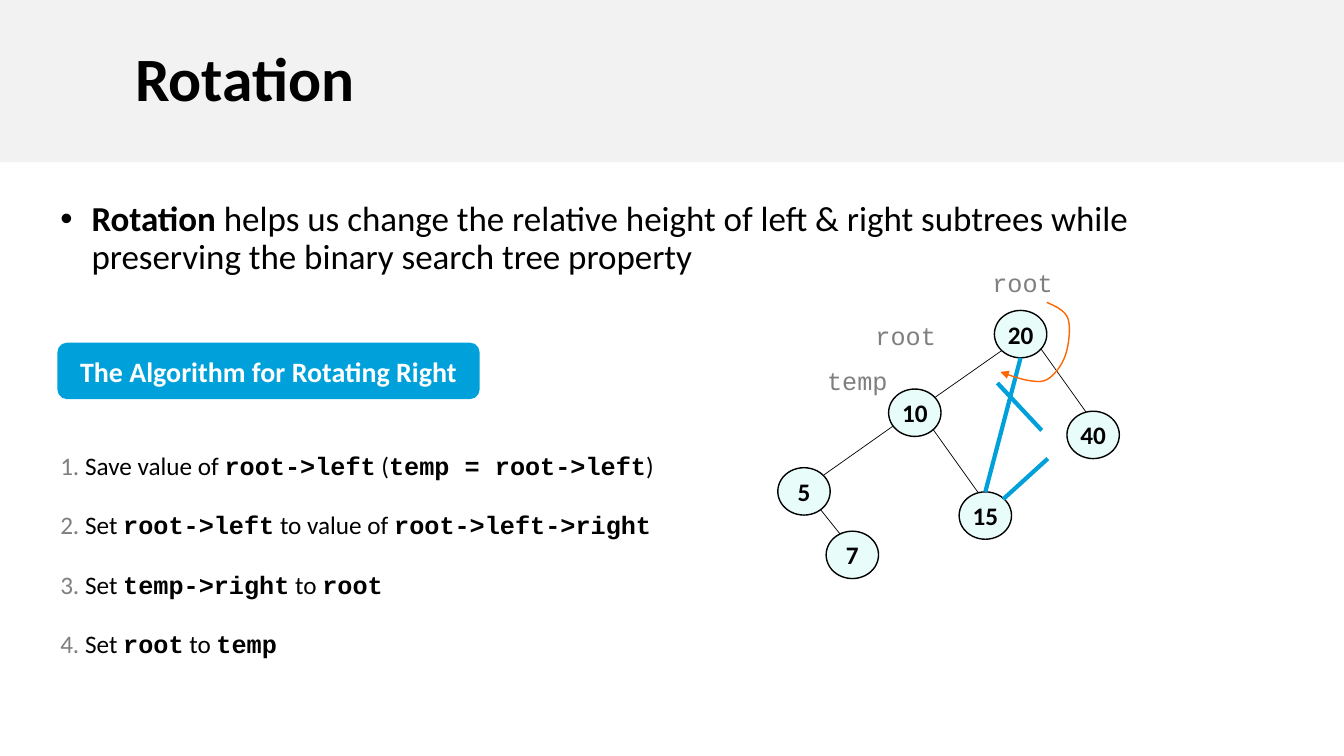
from pptx import Presentation, util as u
from pptx.dml.color import RGBColor
from pptx.enum import shapes, text
from pptx.oxml.ns import qn
from lxml import etree

PX = 9144  # EMU per px, 100 px to the inch

BLACK = RGBColor(0x00, 0x00, 0x00)
WHITE = RGBColor(0xFF, 0xFF, 0xFF)
GREY = RGBColor(0x7F, 0x7F, 0x7F)
BAND = RGBColor(0xF2, 0xF2, 0xF2)
BLUE = RGBColor(0x00, 0xA1, 0xDA)
NODE = RGBColor(0xE8, 0xFC, 0xFA)
ORANGE = RGBColor(0xFF, 0x66, 0x00)
BODY, CODE = "Calibri", "Courier New"
LEFT, CENTER = text.PP_ALIGN.LEFT, text.PP_ALIGN.CENTER
TOP, MIDDLE = text.MSO_ANCHOR.TOP, text.MSO_ANCHOR.MIDDLE


def px(*lengths):
    return [u.Emu(round(length * PX)) for length in lengths]


def write_text(shape, paragraphs, size=18, font=BODY, color=BLACK, bold=False, align=LEFT,
               anchor=TOP, margins=(10, 5, 10, 5), wrap=True, line=1.0, before=0, after=0):
    """Each paragraph is a list of (text, format that differs) runs."""
    frame = shape.text_frame
    frame.word_wrap, frame.vertical_anchor = wrap, anchor
    frame.auto_size = text.MSO_AUTO_SIZE.NONE
    (frame.margin_left, frame.margin_top,
     frame.margin_right, frame.margin_bottom) = px(*margins)
    for index, runs in enumerate(paragraphs):
        paragraph = frame.add_paragraph() if index else frame.paragraphs[0]
        paragraph.alignment, paragraph.line_spacing = align, line
        paragraph.space_before, paragraph.space_after = u.Pt(before), u.Pt(after)
        for words, changes in runs:
            look = {"font": font, "color": color, "bold": bold, **changes}
            run = paragraph.add_run()
            run.text = words
            run.font.size, run.font.name = u.Pt(size), look["font"]
            run.font.bold, run.font.color.rgb = look["bold"], look["color"]
    return frame


def add_box(slide, box, paragraphs, **look):
    return write_text(slide.shapes.add_textbox(*px(*box)), paragraphs, **look)


def add_filled(slide, kind, box, fill, outline=None):
    shape = slide.shapes.add_shape(kind, *px(*box))
    shape.shadow.inherit = False
    shape.fill.solid()
    shape.fill.fore_color.rgb = fill
    if outline is None:
        shape.line.fill.background()
    else:
        shape.line.color.rgb, shape.line.width = outline, u.Pt(1)
    return shape


def add_line(slide, ends, color, width):
    line = slide.shapes.add_connector(shapes.MSO_CONNECTOR.STRAIGHT, *px(*ends))
    line.line.color.rgb, line.line.width = color, u.Pt(width)
    etree.SubElement(line._element.spPr, qn("a:effectLst"))


def add_title(slide, box):
    title = slide.shapes.title
    title.left, title.top, title.width, title.height = px(*box)
    title.fill.solid()
    title.fill.fore_color.rgb = BAND
    write_text(title, [[("Rotation", {})]], size=44, bold=True, anchor=MIDDLE,
               margins=(134, 5, 10, 5), line=0.9)


def add_statement(slide, box):
    frame = add_box(slide, box, [[
        ("Rotation", {"bold": True}),
        (" helps us change the relative height of left & right subtrees while "
         "preserving the binary search tree property", {})]], size=25, line=0.9, before=5)
    properties = frame.paragraphs[0]._p.get_or_add_pPr()
    properties.set("marL", str(81 * PX))
    properties.set("indent", str(-31 * PX))
    etree.SubElement(properties, qn("a:buFont")).set("typeface", "Arial")
    etree.SubElement(properties, qn("a:buChar")).set("char", "•")


def add_algorithm(slide, box):
    left, top, width, height = box
    # Heading
    heading = add_filled(slide, shapes.MSO_SHAPE.ROUNDED_RECTANGLE,
                         (left, top, 419, 56), BLUE)
    write_text(heading, [[("The Algorithm for Rotating Right", {})]], size=20,
               color=WHITE, bold=True, align=CENTER, anchor=MIDDLE)
    # Numbered steps: words and code take turns
    steps = [
        ["Save value of ", "root->left", " (", "temp = root->left", ")"],
        ["Set ", "root->left", " to value of ", "root->left->right"],
        ["Set ", "temp->right", " to ", "root"],
        ["Set ", "root", " to ", "temp"],
    ]
    code = {"font": CODE, "bold": True}
    paragraphs = [
        [(f"{number}. ", {"color": GREY})]
        + [(part, code if index % 2 else {}) for index, part in enumerate(step)]
        for number, step in enumerate(steps, 1)]
    add_box(slide, (left - 7, top + 102, width, height - 102), paragraphs, after=20.7)


def curve_points(start, curves, steps=16):
    """Points along joined cubic curves, each given as two controls and an end."""
    points = [start]
    for first, second, end in curves:
        for step in range(1, steps + 1):
            t = step / steps
            weights = ((1 - t) ** 3, 3 * t * (1 - t) ** 2, 3 * t * t * (1 - t), t ** 3)
            points.append(tuple(
                sum(weight * point[axis] for weight, point in
                    zip(weights, (start, first, second, end))) for axis in (0, 1)))
        start = end
    return points


def add_tree(slide, box):
    left, top = box[:2]

    def move(*lengths):
        return [length + (top if index % 2 else left) for index, length in enumerate(lengths)]

    # Edges, below the nodes
    for ends in [(222, 88, 155, 135), (152, 163, 207, 240), (114, 163, 46, 211),
                 (38, 240, 66, 275), (259, 83, 314, 160)]:
        add_line(slide, move(*ends), BLACK, 0.5)
    # Nodes
    for value, x, y in [(15, 180, 228), (10, 110, 126), (7, 48, 267),
                        (5, 0, 204), (40, 287, 148), (20, 215, 48)]:
        node = add_filled(slide, shapes.MSO_SHAPE.OVAL, (*move(x, y), 52, 47), NODE, BLACK)
        write_text(node, [[(str(value), {})]], bold=True, align=CENTER, anchor=MIDDLE,
                   margins=(0, 0, 0, 0), wrap=False)
    # New link and the cut marks
    for ends in [(241, 95, 206, 228), (268, 195, 224, 235), (218, 120, 262, 167)]:
        add_line(slide, move(*ends), BLUE, 3)
    # Pointer names
    for name, x, y in [("temp", 39, 98), ("root", 203, 0), ("root", 87, 53)]:
        add_box(slide, (*move(x, y), 80, 40), [[(name, {})]], font=CODE, color=GREY,
                align=CENTER, wrap=False)
    # Rotation arrow
    points = curve_points((267, 40), [
        ((276, 44), (285, 48), (288, 56)), ((291, 65), (289, 81), (286, 91)),
        ((283, 101), (276, 110), (271, 114)), ((265, 119), (260, 119), (252, 118)),
        ((243, 117), (232, 113), (221, 109))])
    points = [px(*move(*point)) for point in points]
    builder = slide.shapes.build_freeform(*points[0])
    builder.add_line_segments(points[1:], close=False)
    arrow = builder.convert_to_shape()
    arrow.shadow.inherit = False
    arrow.fill.background()
    arrow.line.color.rgb, arrow.line.width = ORANGE, u.Pt(1)
    etree.SubElement(arrow.line._get_or_add_ln(), qn("a:tailEnd")).set("type", "triangle")


def main():
    presentation = Presentation()
    presentation.slide_width, presentation.slide_height = px(1334, 750)
    slide = presentation.slides.add_slide(presentation.slide_layouts[5])
    add_title(slide, (0, 0, 1334, 161))
    add_statement(slide, (0, 195, 1199, 85))
    add_algorithm(slide, (57, 340, 636, 322))
    add_tree(slide, (772, 260, 339, 314))
    presentation.save("out.pptx")


if __name__ == "__main__":
    main()
